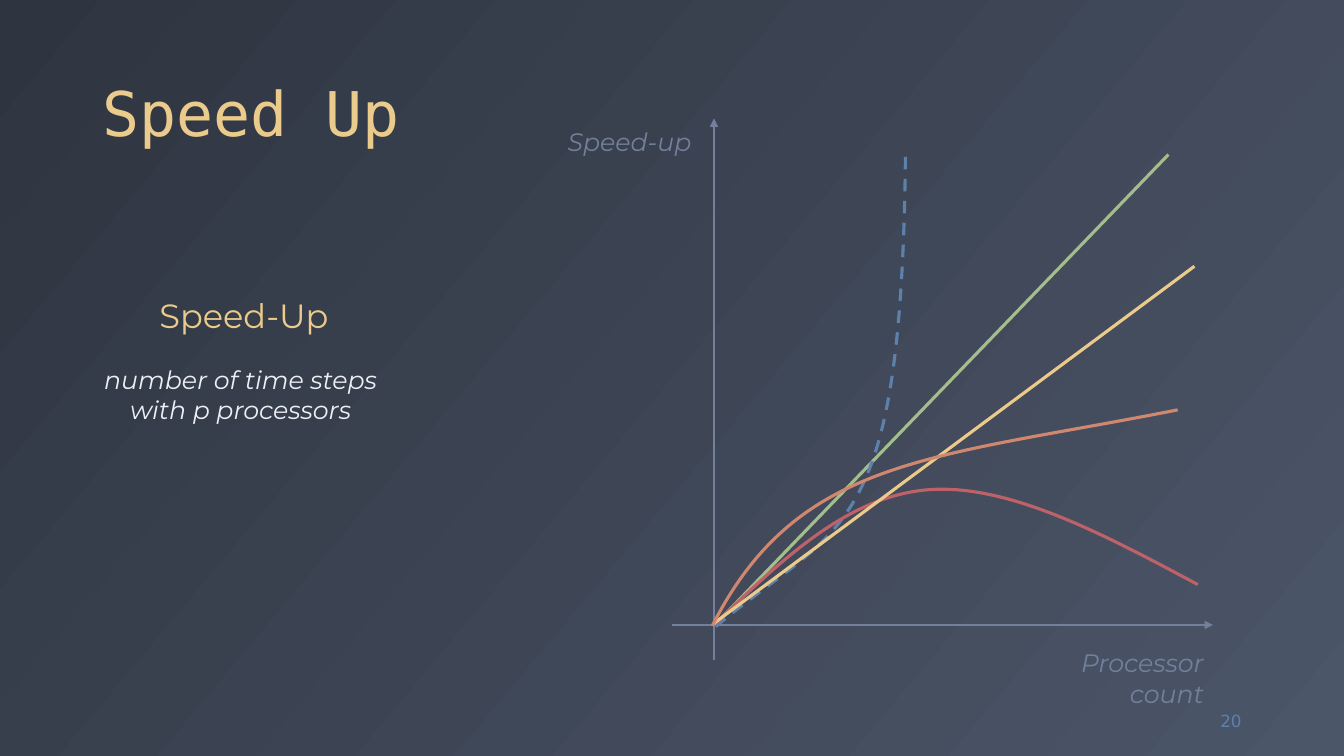
from lxml import etree
from pptx import Presentation
from pptx import util as u
from pptx.dml.color import RGBColor
from pptx.enum import dml, shapes, text
from pptx.oxml import ns

NIGHT = RGBColor(0x2E, 0x34, 0x40)
SLATE = RGBColor(0x4C, 0x56, 0x69)
GREY = RGBColor(0x73, 0x80, 0x9B)
SNOW = RGBColor(0xEC, 0xEF, 0xF3)
BLUE = RGBColor(0x5E, 0x81, 0xAC)
GREEN = RGBColor(0xA3, 0xBE, 0x8C)
RED = RGBColor(0xBF, 0x61, 0x69)
YELLOW = RGBColor(0xEB, 0xCB, 0x8B)
ORANGE = RGBColor(0xD0, 0x87, 0x70)

COLUMNS, ROWS = 16, 9
LEFT, CENTER, RIGHT = text.PP_ALIGN.LEFT, text.PP_ALIGN.CENTER, text.PP_ALIGN.RIGHT

TITLE = ("Speed Up", (1.1, 0.21, 13.8, 1.63))
PAGE_NUMBER = ("20", (13.9, 8.34, 1, 0.48))
LABELS = [
    ("Speed-Up", (1.78, 3.45, 2.27, 0.6), 24, YELLOW, LEFT, False),
    ("number of time steps\nwith p processors", (1.1, 4.28, 3.53, 0.85), 18, SNOW, CENTER, True),
    ("Speed-up", (6.63, 1.44, 1.73, 0.48), 18, GREY, CENTER, True),
    ("Processor\ncount", (12.72, 7.65, 1.73, 0.85), 18, GREY, RIGHT, True),
]
AXES = [
    [(8, 7.44), (14.44, 7.44)],
    [(8.5, 7.86), (8.5, 1.41)],
]
SPEEDUPS = [
    (GREEN, False, [(8.51, 7.44), (13.91, 1.84)]),
    (BLUE, True, [(8.52, 7.46), (10.02, 6.2), (10.73, 6.48), (10.78, 1.86)]),
    (RED, False, [(8.52, 7.42), (9.31, 6.66), (10.1, 5.9), (11.06, 5.83),
                  (12.01, 5.76), (13.14, 6.36), (14.26, 6.96)]),
    (YELLOW, False, [(8.5, 7.42), (14.22, 3.17)]),
    (ORANGE, False, [(8.48, 7.45), (9.5, 5.44), (11.09, 5.46), (14.02, 4.88)]),
]

deck = Presentation()
deck.slide_width, deck.slide_height = u.Inches(13.33), u.Inches(7.5)
page = deck.slides.add_slide(deck.slide_layouts[5])


def place(x, y):
    return round(x * deck.slide_width / COLUMNS), round(y * deck.slide_height / ROWS)


def fill_text(box, words, font, size, color, align, italic=False):
    frame = box.text_frame
    frame.text = words
    for para in frame.paragraphs:
        para.alignment = align
        for span in para.runs:
            span.font.name = font
            span.font.size = u.Pt(size)
            span.font.color.rgb = color
            span.font.italic = italic
    return frame


def add_label(words, area, font, size, color, align, italic=False):
    box = page.shapes.add_textbox(*place(*area[:2]), *place(*area[2:]))
    return fill_text(box, words, font, size, color, align, italic)


def add_line(start, end, color, width):
    line = page.shapes.add_connector(shapes.MSO_CONNECTOR.STRAIGHT, *place(*start), *place(*end))
    etree.SubElement(line.element.spPr, ns.qn("a:effectLst"))
    line.line.color.rgb = color
    line.line.width = u.Pt(width)
    return line


def add_curve(knots, color, width):
    builder = page.shapes.build_freeform(*place(*knots[0]))
    builder.add_line_segments([place(*knot) for knot in knots[1:]], close=False)
    curve = builder.convert_to_shape()
    outline = next(curve.element.iter(ns.qn("a:path")))
    segments = outline.findall(ns.qn("a:lnTo"))
    for first in range(0, len(segments), 3):
        bend = etree.SubElement(outline, ns.qn("a:cubicBezTo"))
        for segment in segments[first:first + 3]:
            bend.append(segment[0])
            outline.remove(segment)
    curve.shadow.inherit = False
    curve.fill.background()
    curve.line.color.rgb = color
    curve.line.width = u.Pt(width)
    return curve


backdrop = page.background.fill
backdrop.gradient()
backdrop.gradient_angle = 320
for stop, color in zip(backdrop.gradient_stops, (NIGHT, SLATE)):
    stop.color.rgb = color

words, area = TITLE
title = page.shapes.title
title.left, title.top = place(*area[:2])
title.width, title.height = place(*area[2:])
frame = fill_text(title, words, "DejaVu Sans Mono", 44, YELLOW, LEFT)
frame.auto_size = text.MSO_AUTO_SIZE.NONE
frame.vertical_anchor = text.MSO_ANCHOR.BOTTOM
frame.paragraphs[0].line_spacing = 0.9

frame = add_label(*PAGE_NUMBER, "DejaVu Sans", 12, BLUE, RIGHT)
frame.word_wrap = True
frame.vertical_anchor = text.MSO_ANCHOR.MIDDLE

for words, area, size, color, align, italic in LABELS:
    frame = add_label(words, area, "Montserrat", size, color, align, italic)
    frame.word_wrap = False
    frame.auto_size = text.MSO_AUTO_SIZE.SHAPE_TO_FIT_TEXT

for start, end in AXES:
    axis = add_line(start, end, GREY, 1.5)
    stroke = axis.element.spPr.find(ns.qn("a:ln"))
    etree.SubElement(stroke, ns.qn("a:tailEnd"), type="triangle")

for color, dashed, knots in SPEEDUPS:
    if len(knots) == 2:
        add_line(*knots, color, 2.25)
    else:
        curve = add_curve(knots, color, 2.25)
        if dashed:
            curve.line.dash_style = dml.MSO_LINE.DASH

deck.save("out.pptx")
